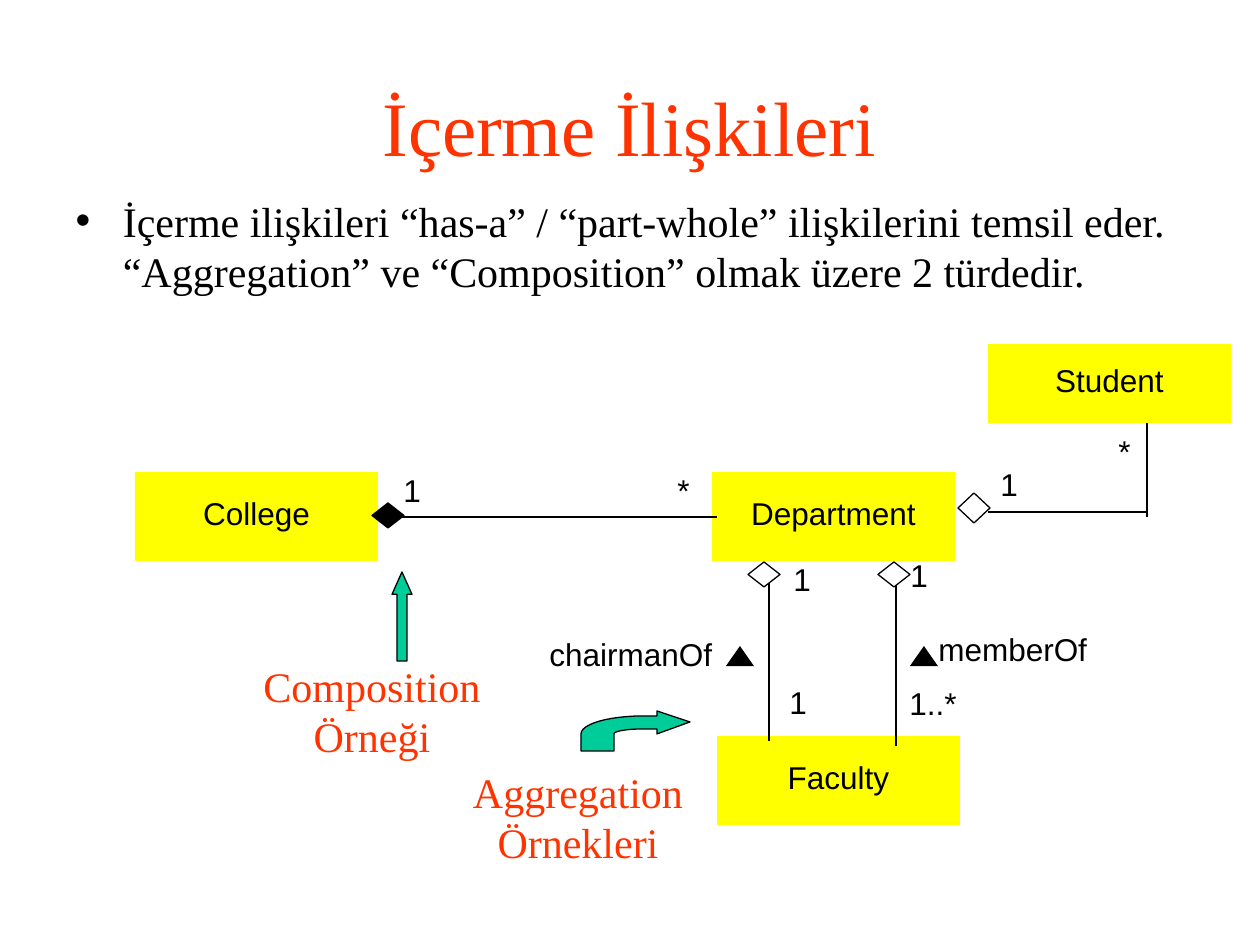
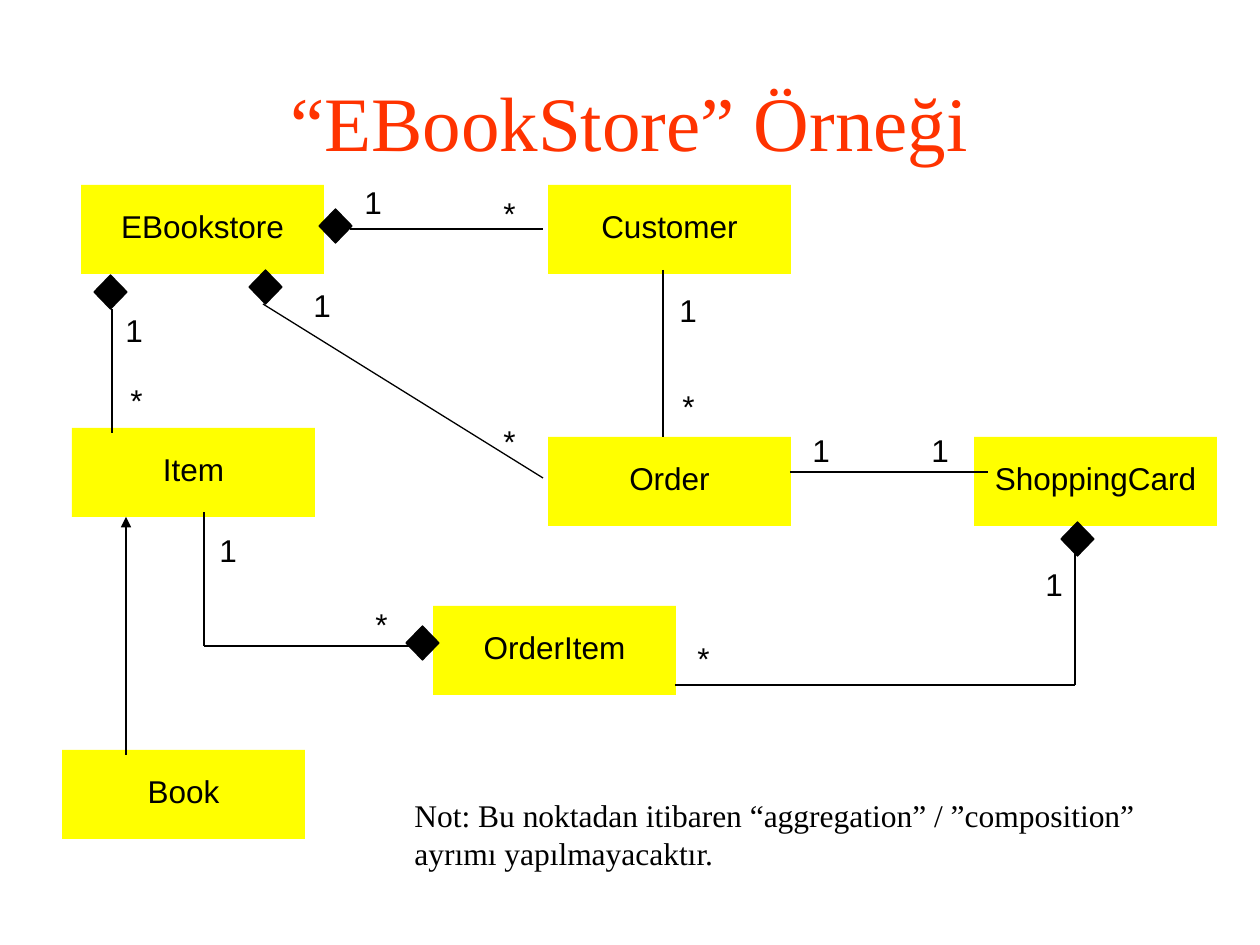
from dataclasses import dataclass
from math import cos, pi, sin

from lxml.etree import SubElement
from pptx import Presentation
from pptx.dml.color import RGBColor
from pptx.enum.shapes import MSO_CONNECTOR, MSO_SHAPE
from pptx.enum.text import MSO_ANCHOR, MSO_AUTO_SIZE, PP_ALIGN
from pptx.oxml.ns import qn
from pptx.util import Emu, Pt


@dataclass(frozen=True)
class Theme:
    accent: RGBColor = RGBColor(0xFF, 0x33, 0x00)
    ink: RGBColor = RGBColor(0, 0, 0)
    paper: RGBColor = RGBColor(0xFF, 0xFF, 0xFF)
    class_fill: RGBColor = RGBColor(0xFF, 0xFF, 0x00)
    pointer: RGBColor = RGBColor(0x00, 0xCC, 0x99)
    serif: str = "Times New Roman"
    sans: str = "Arial"
    title_size: Pt = Pt(44)
    body_size: Pt = Pt(24)
    small_size: Pt = Pt(18)
    line_width: Pt = Pt(0.75)


THEME = Theme()
SLIDE_W, SLIDE_H = 1260, 945
CLASS_W, CLASS_H = 243, 89
LABEL_H = 43
LABEL_WIDTHS = {"1": 43, "*": 37, "1..*": 72, "memberOf": 174, "chairmanOf": 188}
TITLE_LAYOUT_WITH_BODY, TITLE_LAYOUT = 1, 5


def px(length):
    return Emu(round(length * 914400 / 126))


def place(shape, left, top, width, height):
    shape.left, shape.top = px(left), px(top)
    shape.width, shape.height = px(width), px(height)


def write(frame, lines, name, size, color, align=PP_ALIGN.LEFT, spacing=1.0, wrap=True):
    frame.auto_size = MSO_AUTO_SIZE.NONE
    frame.word_wrap = wrap
    frame.text = "\n".join(lines)
    for paragraph in frame.paragraphs:
        paragraph.alignment = align
        paragraph.line_spacing = spacing
        paragraph.space_before = Pt(0)
        paragraph.font.name = name
        paragraph.font.size = size
        paragraph.font.color.rgb = color


def paint(shape, fill, outlined=True):
    shape.shadow.inherit = False
    shape.fill.solid()
    shape.fill.fore_color.rgb = fill
    if outlined:
        shape.line.color.rgb = THEME.ink
        shape.line.width = THEME.line_width
    else:
        shape.line.fill.background()


def add_title(slide, text, height):
    title = slide.shapes.title
    place(title, 94, 84, 1071, height)
    write(title.text_frame, [text], THEME.serif, THEME.title_size, THEME.accent,
          PP_ALIGN.CENTER)
    title.text_frame.vertical_anchor = MSO_ANCHOR.MIDDLE


def add_bullet(slide, text):
    body = slide.placeholders[1]
    place(body, 63, 189, 1134, 125)
    body.text_frame.text = text
    properties = body.text_frame.paragraphs[0]._p.get_or_add_pPr()
    properties.set("marL", str(px(48)))
    properties.set("indent", str(px(-48)))
    write(body.text_frame, [text], THEME.serif, THEME.body_size, THEME.ink)
    SubElement(properties, qn("a:buChar")).set("char", "•")


class ClassDiagram:
    """UML parts whose positions count from the diagram's top left corner."""

    def __init__(self, slide, left, top):
        self.shapes = slide.shapes
        self.left, self.top = left, top

    def add_preset(self, preset, left, top, width, height, fill, outlined=True):
        shape = self.shapes.add_shape(preset, px(self.left + left), px(self.top + top),
                                      px(width), px(height))
        paint(shape, fill, outlined)
        return shape

    def add_text(self, lines, left, top, width, height, *style, **options):
        box = self.shapes.add_textbox(px(self.left + left), px(self.top + top),
                                      px(width), px(height))
        write(box.text_frame, lines, *style, **options)

    def add_class(self, name, left, top, height=CLASS_H):
        box = self.add_preset(MSO_SHAPE.RECTANGLE, left, top, CLASS_W, height,
                              THEME.class_fill, outlined=False)
        write(box.text_frame, [name], THEME.sans, THEME.small_size, THEME.ink,
              PP_ALIGN.CENTER, spacing=0.8, wrap=False)
        box.text_frame.vertical_anchor = MSO_ANCHOR.MIDDLE

    def add_link(self, *points, arrow=False):
        """Join the points by straight lines, with an optional final arrowhead."""
        for (x1, y1), (x2, y2) in zip(points, points[1:]):
            link = self.shapes.add_connector(
                MSO_CONNECTOR.STRAIGHT, px(self.left + x1), px(self.top + y1),
                px(self.left + x2), px(self.top + y2))
            link.line.color.rgb = THEME.ink
            link.line.width = THEME.line_width
            SubElement(link._element.spPr, qn("a:effectLst"))
        if arrow:
            SubElement(link.line._get_or_add_ln(), qn("a:tailEnd")).set("type", "triangle")

    def add_label(self, text, left, top):
        self.add_text([text], left, top, LABEL_WIDTHS[text], LABEL_H, THEME.sans,
                      THEME.small_size, THEME.ink, spacing=0.8, wrap=False)

    def add_callout(self, lines, left, top, width):
        self.add_text(lines, left, top, width, 113, THEME.serif, THEME.body_size,
                      THEME.accent, PP_ALIGN.CENTER, wrap=False)

    def add_bent_pointer(self, left, top):
        def bend(radius_x, radius_y):
            angles = [step * pi / 24 for step in range(13)]
            return [(62 - radius_x * sin(a), 23 - radius_y * cos(a)) for a in angles]

        outline = [(109, 11), (76, 0), (76, 5), *bend(62, 18), (0, 40), (33, 40),
                   *reversed(bend(29, 5)), (76, 18), (76, 23)]
        points = [(px(x), px(y)) for x, y in outline]
        builder = self.shapes.build_freeform(*points[0])
        builder.add_line_segments(points[1:], close=True)
        pointer = builder.convert_to_shape(px(self.left + left), px(self.top + top))
        paint(pointer, THEME.pointer)


def draw_college(slide):
    diagram = ClassDiagram(slide, 135, 344)
    diagram.add_class("College", 0, 128)
    diagram.add_class("Department", 577, 128)
    diagram.add_class("Faculty", 582, 392)
    diagram.add_class("Student", 853, 0, height=79)

    diagram.add_link((243, 173), (582, 173))
    diagram.add_link((761, 223), (761, 402))
    diagram.add_link((634, 238), (634, 397))
    diagram.add_link((853, 168), (1012, 168))
    diagram.add_link((1012, 173), (1012, 79))

    for left, top, height, fill in [(237, 159, 25, THEME.ink), (613, 218, 25, THEME.paper),
                                    (743, 218, 25, THEME.paper), (823, 149, 30, THEME.paper)]:
        diagram.add_preset(MSO_SHAPE.FLOWCHART_DECISION, left, top, 32, height, fill)
    for left in (591, 775):
        diagram.add_preset(MSO_SHAPE.ISOSCELES_TRIANGLE, left, 302, 28, 20, THEME.ink,
                           outlined=False)

    for label in [("1", 256, 128), ("*", 530, 128), ("1", 763, 213), ("1..*", 762, 341),
                  ("memberOf", 791, 287), ("chairmanOf", 402, 292), ("1", 646, 217),
                  ("1", 642, 340), ("1", 853, 122), ("*", 971, 89)]:
        diagram.add_label(*label)

    diagram.add_callout(["Composition", "Örneği"], 116, 310, 242)
    up_pointer = diagram.add_preset(MSO_SHAPE.UP_ARROW, 257, 228, 20, 89, THEME.pointer)
    up_pointer.adjustments[1] = 1.12
    diagram.add_callout(["Aggregation", "Örnekleri"], 326, 416, 234)
    diagram.add_bent_pointer(446, 367)


def draw_bookstore(slide):
    diagram = ClassDiagram(slide, 62, 185)
    for class_box in [("EBookstore", 19, 0), ("Customer", 486, 0), ("Item", 10, 243),
                      ("Order", 486, 252), ("ShoppingCard", 912, 252),
                      ("OrderItem", 371, 421), ("Book", 0, 565)]:
        diagram.add_class(*class_box)

    for link in [[(50, 124), (50, 248)], [(288, 44), (481, 44)], [(201, 119), (481, 293)],
                 [(601, 85), (601, 252)], [(728, 287), (926, 287)],
                 [(349, 461), (142, 461), (142, 327)],
                 [(1013, 347), (1013, 500), (613, 500)]]:
        diagram.add_link(*link)
    diagram.add_link((64, 570), (64, 332), arrow=True)

    for left, top in [(32, 90), (257, 24), (187, 85), (344, 441), (999, 337)]:
        diagram.add_preset(MSO_SHAPE.DIAMOND, left, top, 33, 34, THEME.ink)

    for label in [("1", 51, 127), ("*", 56, 197), ("1", 290, -1), ("*", 429, 10),
                  ("1", 239, 102), ("*", 429, 238), ("1", 605, 107), ("*", 608, 203),
                  ("1", 738, 247), ("1", 857, 247), ("1", 145, 347), ("*", 301, 421),
                  ("1", 971, 381), ("*", 623, 455)]:
        diagram.add_label(*label)

    note = "Not: Bu noktadan itibaren “aggregation” / ”composition” ayrımı yapılmayacaktır."
    diagram.add_text([note], 340, 605, 829, 88, THEME.serif, THEME.small_size, THEME.ink)


def main():
    deck = Presentation()
    deck.slide_width, deck.slide_height = px(SLIDE_W), px(SLIDE_H)

    containment = deck.slides.add_slide(deck.slide_layouts[TITLE_LAYOUT_WITH_BODY])
    add_title(containment, "İçerme İlişkileri", 84)
    add_bullet(containment, "İçerme ilişkileri “has-a” / “part-whole” ilişkilerini temsil eder. "
                            "“Aggregation” ve “Composition” olmak üzere 2 türdedir.")
    draw_college(containment)

    bookstore = deck.slides.add_slide(deck.slide_layouts[TITLE_LAYOUT])
    add_title(bookstore, "“EBookStore” Örneği", 73)
    draw_bookstore(bookstore)

    deck.save("out.pptx")


if __name__ == "__main__":
    main()
